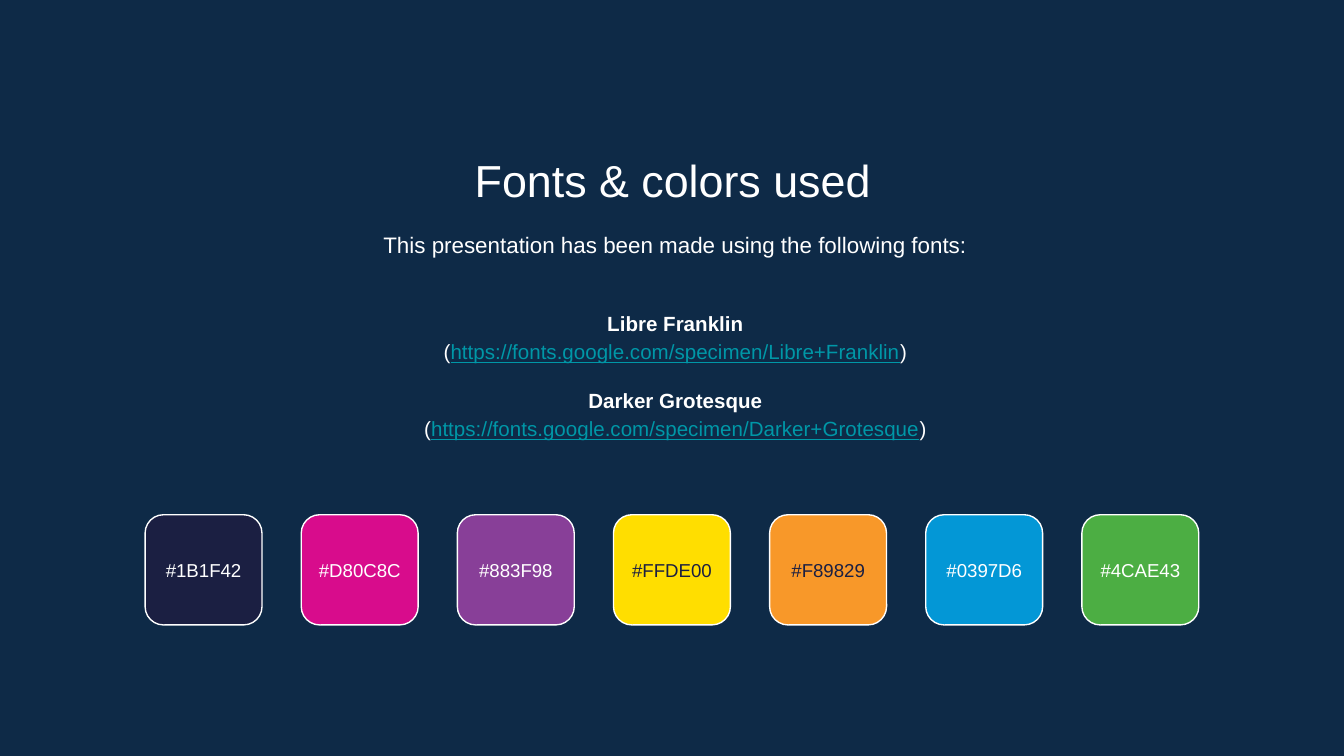
from dataclasses import dataclass

from pptx import Presentation
from pptx.dml.color import RGBColor
from pptx.enum.shapes import MSO_SHAPE
from pptx.enum.text import MSO_ANCHOR, PP_ALIGN
from pptx.util import Inches, Pt

ROUNDED = MSO_SHAPE.ROUNDED_RECTANGLE
TOP, MIDDLE = MSO_ANCHOR.TOP, MSO_ANCHOR.MIDDLE
CENTER = PP_ALIGN.CENTER


@dataclass(frozen=True)
class Theme:
    font: str = "Arial"
    background: str = "0E2A47"
    light: str = "FFFFFF"
    dark: str = "1B1F42"
    link: str = "0097A7"
    title: int = 24
    intro: int = 12
    body: int = 11
    label: int = 10


theme = Theme()


def add_text_frame(left, top, width, height, anchor):
    box = slide.shapes.add_textbox(Inches(left), Inches(top), Inches(width), Inches(height))
    frame = box.text_frame
    settings = {"word_wrap": True, "vertical_anchor": anchor}
    for side in ("left", "top", "right", "bottom"):
        settings[f"margin_{side}"] = Inches(0.1)
    for name, value in settings.items():
        setattr(frame, name, value)
    return frame


def add_run(paragraph, text, size, color=theme.light, **styles):
    paragraph.alignment = CENTER
    run = paragraph.add_run()
    run.text = text
    run.font.color.rgb = RGBColor.from_string(color)
    for name, value in {"name": theme.font, "size": Pt(size), **styles}.items():
        setattr(run.font, name, value)


deck = Presentation()
deck.slide_width, deck.slide_height = Inches(10), Inches(10 * 9 / 16)
slide = deck.slides.add_slide(deck.slide_layouts[6])
slide.background.fill.solid()
slide.background.fill.fore_color.rgb = RGBColor.from_string(theme.background)

title = add_text_frame(1.15, 1.04, 7.71, 0.53, TOP).paragraphs[0]
add_run(title, "Fonts & colors used", theme.title)

intro = add_text_frame(1.17, 1.59, 7.71, 0.48, TOP).paragraphs[0]
intro.line_spacing = 1.15
add_run(intro, "This presentation has been made using the following fonts:", theme.intro)

font_list = add_text_frame(1.17, 2.1, 7.71, 1.37, MIDDLE)
font_name = font_list.paragraphs[0]
for family in ("Libre Franklin", "Darker Grotesque"):
    if font_name.runs:
        font_name = font_list.add_paragraph()
        font_name.space_before = Pt(11)
    add_run(font_name, family, theme.body, bold=True)
    address = font_list.add_paragraph()
    add_run(address, "(", theme.body)
    url = "https://fonts.google.com/specimen/" + family.replace(" ", "+")
    add_run(address, url, theme.body, theme.link, underline=True)
    add_run(address, ")", theme.body)
    font_name.line_spacing = address.line_spacing = 1.15

swatches = [
    ("1B1F42", theme.light),
    ("D80C8C", theme.light),
    ("883F98", theme.light),
    ("FFDE00", theme.dark),
    ("F89829", theme.dark),
    ("0397D6", theme.light),
    ("4CAE43", theme.light),
]
first_left, last_left, swatch_width = 1.08, 8.05, 0.87
pitch = (last_left - first_left) / (len(swatches) - 1)
for index, (color, label_color) in enumerate(swatches):
    left = first_left + index * pitch
    swatch = slide.shapes.add_shape(
        ROUNDED, Inches(left), Inches(3.83), Inches(swatch_width), Inches(0.82)
    )
    swatch.shadow.inherit = False
    swatch.fill.solid()
    swatch.fill.fore_color.rgb = RGBColor.from_string(color)
    swatch.line.color.rgb = RGBColor.from_string(theme.light)
    swatch.line.width = Pt(0.75)
    label = add_text_frame(left, 4, swatch_width, 0.48, MIDDLE).paragraphs[0]
    add_run(label, f"#{color}", theme.label, label_color)

deck.save("out.pptx")
